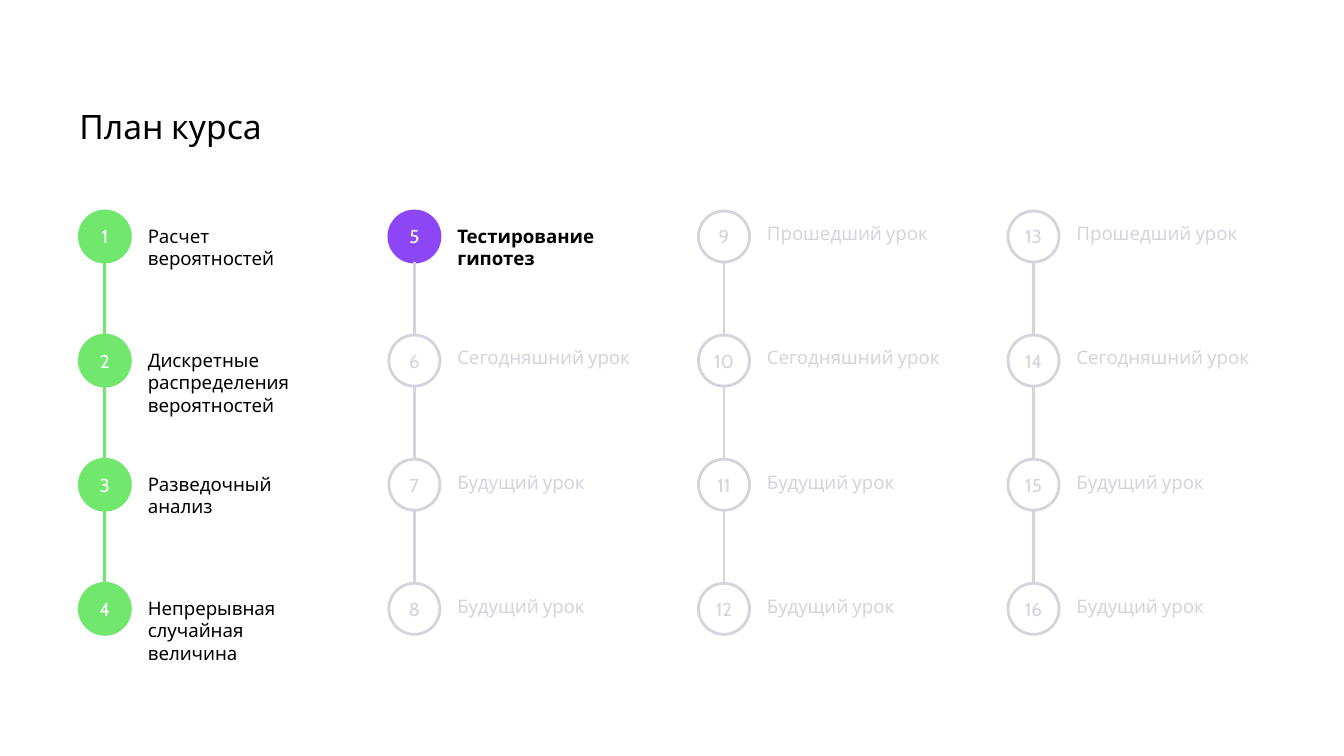
from lxml import etree
from pptx import Presentation
from pptx.dml.color import RGBColor
from pptx.enum.shapes import MSO_CONNECTOR, MSO_SHAPE
from pptx.enum.text import MSO_ANCHOR, PP_ALIGN
from pptx.oxml.ns import qn
from pptx.util import Inches, Pt

OVAL, LINE = MSO_SHAPE.OVAL, MSO_CONNECTOR.STRAIGHT
TOP, MIDDLE = MSO_ANCHOR.TOP, MSO_ANCHOR.MIDDLE
LEFT, CENTER = PP_ALIGN.LEFT, PP_ALIGN.CENTER

TITLE = "План курса"
COURSE = [
    ["Расчет вероятностей", "Дискретные распределения вероятностей",
     "Разведочный анализ", "Непрерывная случайная величина"],
    ["Тестирование гипотез", "Сегодняшний урок", "Будущий урок", "Будущий урок"],
    ["Прошедший урок", "Сегодняшний урок", "Будущий урок", "Будущий урок"],
    ["Прошедший урок", "Сегодняшний урок", "Будущий урок", "Будущий урок"],
]
CURRENT = 5

BLACK, WHITE, GREEN, VIOLET, GRAY = "000000", "FFFFFF", "71E76E", "8D46F6", "D4D4DD"
STYLES = {
    "done": {"fill": GREEN, "line": GREEN, "digit": WHITE, "label": BLACK, "bold": False},
    "now": {"fill": VIOLET, "line": VIOLET, "digit": WHITE, "label": BLACK, "bold": True},
    "next": {"fill": WHITE, "line": GRAY, "digit": GRAY, "label": GRAY, "bold": False},
}

X, Y = 0.59, 1.57
STEP_X = (7.5 - X) / 3
STEP_Y = (4.34 - Y) / 3
DOT = 0.38
LABEL_DX, LABEL_W, LABEL_H = 0.51, 1.4, 0.37


def color(code):
    return RGBColor.from_string(code)


def write(shape, text, size, code, bold=False, align=LEFT, anchor=TOP,
          insets=(0, 0, 0, 0)):
    frame = shape.text_frame
    frame.word_wrap = True
    frame.vertical_anchor = anchor
    for side, inset in zip(("left", "top", "right", "bottom"), insets):
        setattr(frame, "margin_" + side, Inches(inset))
    para = frame.paragraphs[0]
    para.alignment = align
    para.line_spacing = 1.0
    run = para.add_run()
    run.text = text
    looks = {"name": "Cabin", "size": Pt(size), "bold": bold}
    for key, value in looks.items():
        setattr(run.font, key, value)
    run.font.color.rgb = color(code)


def add_link(slide, x, top, bottom, code):
    link = slide.shapes.add_connector(
        LINE, Inches(x), Inches(top), Inches(x), Inches(bottom))
    link.line.color.rgb = color(code)
    link.line.width = Pt(1.5)
    etree.SubElement(link._element.spPr, qn("a:effectLst"))


def add_lesson(slide, x, y, number, text, style):
    dot = slide.shapes.add_shape(OVAL, Inches(x), Inches(y), Inches(DOT), Inches(DOT))
    dot.shadow.inherit = False
    dot.fill.solid()
    dot.fill.fore_color.rgb = color(style["fill"])
    dot.line.color.rgb = color(style["line"])
    dot.line.width = Pt(1.5)
    write(dot, str(number), 10, style["digit"], align=CENTER, anchor=MIDDLE)
    label = slide.shapes.add_textbox(
        Inches(x + LABEL_DX), Inches(y), Inches(LABEL_W), Inches(LABEL_H))
    write(label, text, 10, style["label"], style["bold"], insets=(0, 0.1, 0.1, 0.1))


def main():
    deck = Presentation()
    deck.slide_width = Inches(10)
    deck.slide_height = deck.slide_width * 9 // 16
    slide = deck.slides.add_slide(deck.slide_layouts[5])

    title = slide.shapes.title
    title.left, title.top = Inches(X), Inches(0.79)
    title.width, title.height = Inches(8.82), Inches(0.35)
    write(title, TITLE, 18, BLACK)

    number = 0
    for col, lessons in enumerate(COURSE):
        x = X + col * STEP_X
        for row, text in enumerate(lessons):
            y = Y + row * STEP_Y
            number += 1
            state = ("done" if number < CURRENT
                     else "now" if number == CURRENT else "next")
            if row:
                code = GREEN if state == "done" else GRAY
                add_link(slide, x + DOT / 2, y - STEP_Y + DOT, y, code)
            add_lesson(slide, x, y, number, text, STYLES[state])

    deck.save("out.pptx")


if __name__ == "__main__":
    main()
